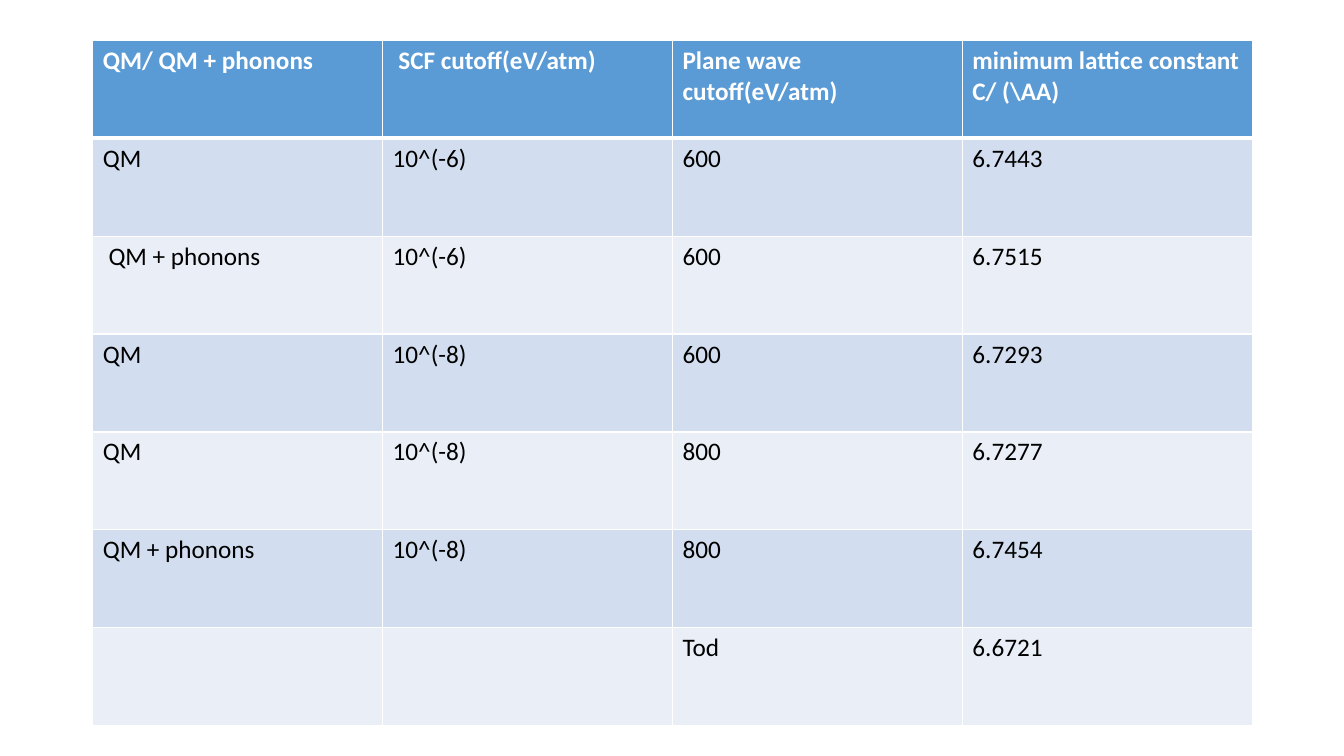
from lxml.etree import SubElement
from pptx import Presentation
from pptx.dml.color import RGBColor
from pptx.oxml.ns import qn
from pptx.util import Inches, Pt

HEADER_FILL = "5B9BD5"
BAND_FILLS = ["D2DEEF", "EAEFF7"]
WHITE, BLACK = "FFFFFF", "000000"
LATTICE_ROWS = [
    ["QM/ QM + phonons", " SCF cutoff(eV/atm)", "Plane wave cutoff(eV/atm)",
     "minimum lattice constant C/ (\\AA)"],
    ["QM", "10^(-6)", "600", "6.7443"],
    [" QM + phonons", "10^(-6)", "600", "6.7515"],
    ["QM", "10^(-8)", "600", "6.7293"],
    ["QM", "10^(-8)", "800", "6.7277"],
    ["QM + phonons", "10^(-8)", "800", "6.7454"],
    ["", "", "Tod", "6.6721"],
]


def paint(target, color):
    """Apply a hex colour to a fill or a font."""
    if hasattr(target, "solid"):
        target.solid()
        target.fore_color.rgb = RGBColor.from_string(color)
    else:
        target.color.rgb = RGBColor.from_string(color)


def add_borders(cell, top, bottom):
    """Draw white cell borders with the given top and bottom widths in points."""
    properties = cell._tc.get_or_add_tcPr()
    for side, width in (("L", 1), ("R", 1), ("T", top), ("B", bottom)):
        line = SubElement(properties, qn(f"a:ln{side}"), w=str(Pt(width)))
        SubElement(SubElement(line, qn("a:solidFill")), qn("a:srgbClr"), val=WHITE)


def write_cell(cell, text, color, bold):
    """Add one run of table text."""
    if not text:
        return
    span = cell.text_frame.paragraphs[0].add_run()
    span.text = text
    span.font.name = "Calibri"
    span.font.size = Pt(18)
    span.font.bold = bold
    paint(span.font, color)


def add_lattice_table(page, box):
    """Fill the box with the banded table of lattice constants."""
    left, top, width, height = (Inches(value) for value in box)
    row_count, column_count = len(LATTICE_ROWS), len(LATTICE_ROWS[0])
    table = page.shapes.add_table(row_count, column_count, left, top, width, height).table
    for row_index, texts in enumerate(LATTICE_ROWS):
        is_header = row_index == 0
        fill = HEADER_FILL if is_header else BAND_FILLS[(row_index - 1) % 2]
        for column_index, text in enumerate(texts):
            cell = table.cell(row_index, column_index)
            add_borders(cell, 3 if row_index == 1 else 1, 3 if is_header else 1)
            paint(cell.fill, fill)
            write_cell(cell, text, WHITE if is_header else BLACK, is_header)


deck = Presentation()
deck.slide_width, deck.slide_height = Inches(13.33), Inches(7.5)
lattice_page = deck.slides.add_slide(deck.slide_layouts[6])
add_lattice_table(lattice_page, (0.92, 0.4, 11.5, 6.8))
deck.save("out.pptx")
